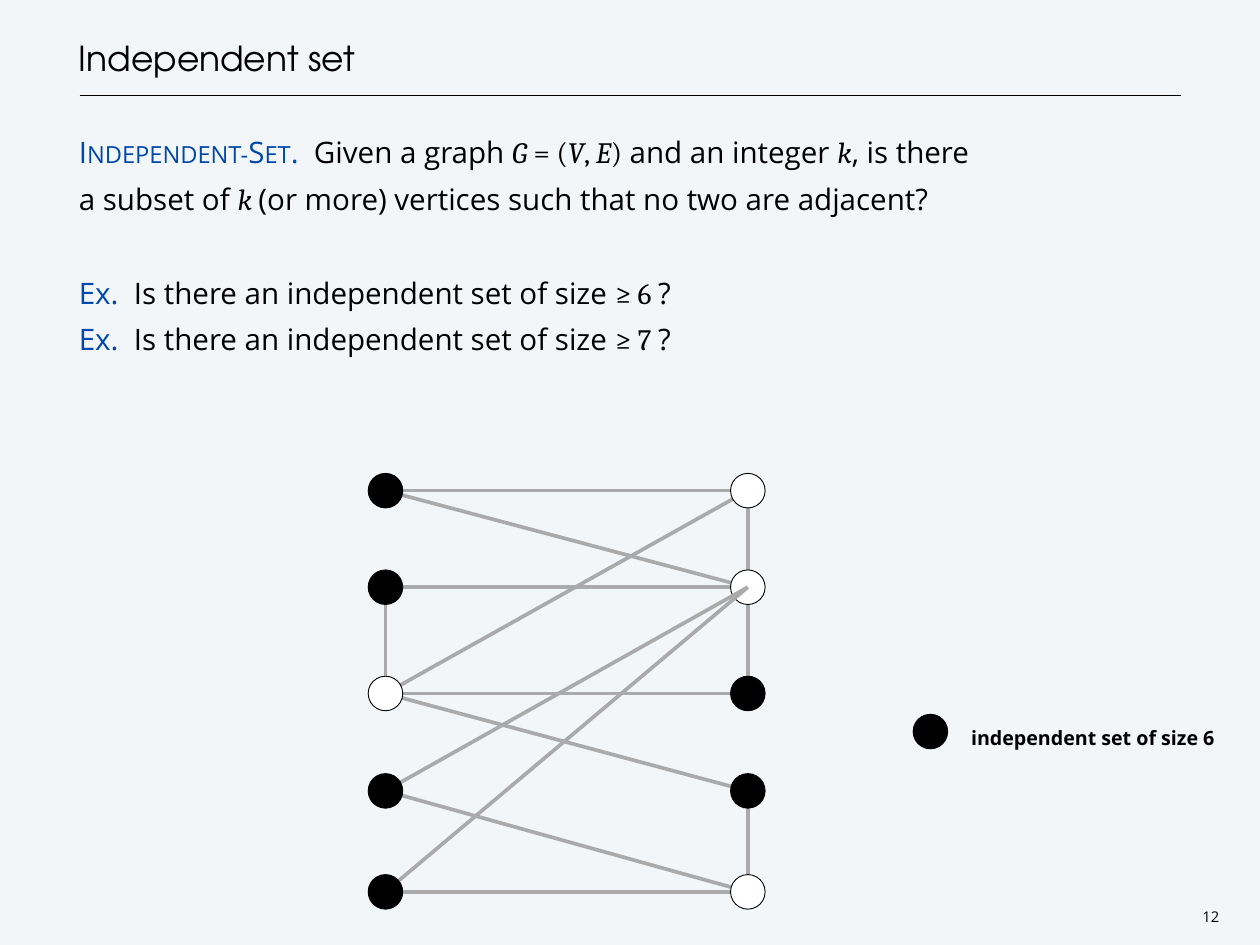
"""Build the slide that states the independent set problem with an example graph."""
import pptx
import pptx.dml.color
import pptx.enum.shapes
import pptx.enum.text
import pptx.oxml.ns
import pptx.util
from pptx.util import Inches

BLACK, WHITE, GRAY, BLUE = "000000", "FFFFFF", "AAAAAA", "0048AA"
SANS, MATH = "Open Sans", "Cambria"
DOT = 0.39


def color(hex_code):
    return pptx.dml.color.RGBColor.from_string(hex_code)


def add_run(p, text, size=24, font=SANS, fill=BLACK, bold=False, italic=False, caps=False):
    r = p.add_run()
    r.text = text
    r.font.size = pptx.util.Pt(size)
    r.font.name = font
    r.font.color.rgb = color(fill)
    r.font.bold = bold
    r.font.italic = italic
    if caps:
        r.font._element.set("cap", "small")


prs = pptx.Presentation()
prs.slide_width, prs.slide_height = Inches(14.22), Inches(10.67)
s = prs.slides.add_slide(prs.slide_layouts[5])
s.background.fill.solid()
s.background.fill.fore_color.rgb = color("F2F6F9")

# Title and body
title = s.shapes.title
title.left, title.top, title.width, title.height = Inches(0.89), Inches(0), Inches(12.44), Inches(0.89)
body = s.shapes.add_textbox(Inches(0.89), Inches(1.39), Inches(12.44), Inches(3))
for sp in (title, body):
    tf = sp.text_frame
    tf.margin_left = tf.margin_top = tf.margin_right = tf.margin_bottom = 0
    tf.word_wrap = True
    tf.auto_size = pptx.enum.text.MSO_AUTO_SIZE.NONE
title.text_frame.vertical_anchor = pptx.enum.text.MSO_ANCHOR.BOTTOM
p = title.text_frame.paragraphs[0]
p.alignment = pptx.enum.text.PP_ALIGN.LEFT
p.line_spacing = pptx.util.Pt(38)
add_run(p, "Independent set", size=28, font="TeX Gyre Adventor")

tf = body.text_frame
p = tf.paragraphs[0]
p.line_spacing = pptx.util.Pt(38)
add_run(p, "Independent-Set", fill=BLUE, caps=True)
add_run(p, ".  ", fill=BLUE)
add_run(p, "Given a graph ")
for text, italic in (("G", True), (" = (", False), ("V", True), (", ", False), ("E", True), (")", False)):
    add_run(p, text, font=MATH, italic=italic)
add_run(p, " and an integer ")
add_run(p, "k", font=MATH, italic=True)
add_run(p, ", is there")
p.add_line_break()
add_run(p, "a subset of ")
add_run(p, "k ", font=MATH, italic=True)
add_run(p, "(or more) vertices such that no two are adjacent?")
for bound, gap in (("≥ 6 ", 38), ("≥ 7 ", 0)):
    p = tf.add_paragraph()
    p.line_spacing = pptx.util.Pt(38)
    p.space_before = pptx.util.Pt(gap)
    add_run(p, "Ex.  ", fill=BLUE)
    add_run(p, "Is there an independent set of size ")
    add_run(p, bound, font=MATH)
    add_run(p, "?")

# Page number and legend label
for text, box, margin, align, spacing, size, bold in (
    ("12", (13.51, 10.22, 0.31, 0.24), 0.04, "CENTER", pptx.util.Pt(14), 12, False),
    ("independent set of size 6", (10.96, 8.12, 2.93, 0.25), 0, "LEFT", 1.3, 16, True),
):
    tf = s.shapes.add_textbox(*map(Inches, box)).text_frame
    tf.margin_left = tf.margin_top = tf.margin_right = tf.margin_bottom = Inches(margin)
    tf.word_wrap = False
    tf.auto_size = pptx.enum.text.MSO_AUTO_SIZE.SHAPE_TO_FIT_TEXT
    p = tf.paragraphs[0]
    p.alignment = pptx.enum.text.PP_ALIGN[align]
    p.line_spacing = spacing
    add_run(p, text, size=size, bold=bold)

# Points by name: L and R are the two columns of vertices
points = {"rule start": (0.9, 1.08), "rule end": (13.33, 1.08), "legend": (10.5, 8.26)}
for row, y in enumerate((5.54, 6.63, 7.83, 8.93, 10.07), start=1):
    points[f"L{row}"] = (4.35, y)
    points[f"R{row}"] = (8.44, y)

edges = [("L5", "R5"), ("R1", "R2"), ("R2", "R3"), ("L2", "L3"), ("L1", "R1"), ("L1", "R2"),
         ("L2", "R2"), ("L3", "R1"), ("L3", "R4"), ("L3", "R3"), ("L4", "R5"), ("R4", "R5")]
front_edges = [("R2", "L4"), ("L5", "R2")]
outside = ["L3", "R1", "R2", "R5"]
independent = ["L1", "L2", "L4", "L5", "R3", "R4"]

# Layers from back to front: lines first, then the dots over them
for lines, stroke, width, dots, fill in (
    ([("rule start", "rule end")], BLACK, 1, ["legend"], BLACK),
    (edges, GRAY, 3, outside, WHITE),
    (front_edges, GRAY, 3, independent, BLACK),
):
    for start, end in lines:
        line = s.shapes.add_connector(pptx.enum.shapes.MSO_CONNECTOR.STRAIGHT,
                                      *map(Inches, points[start] + points[end]))
        line.line.color.rgb = color(stroke)
        line.line.width = pptx.util.Pt(width)
        line._element.spPr.append(pptx.oxml.parse_xml(
            f"<a:effectLst {pptx.oxml.ns.nsdecls('a')}/>"))
    for name in dots:
        x, y = points[name]
        dot = s.shapes.add_shape(pptx.enum.shapes.MSO_SHAPE.OVAL, Inches(x - DOT / 2),
                                 Inches(y - DOT / 2), Inches(DOT), Inches(DOT))
        dot.shadow.inherit = False
        dot.fill.solid()
        dot.fill.fore_color.rgb = color(fill)
        dot.line.color.rgb = color(BLACK)
        dot.line.width = pptx.util.Pt(0.75)

prs.save("out.pptx")
